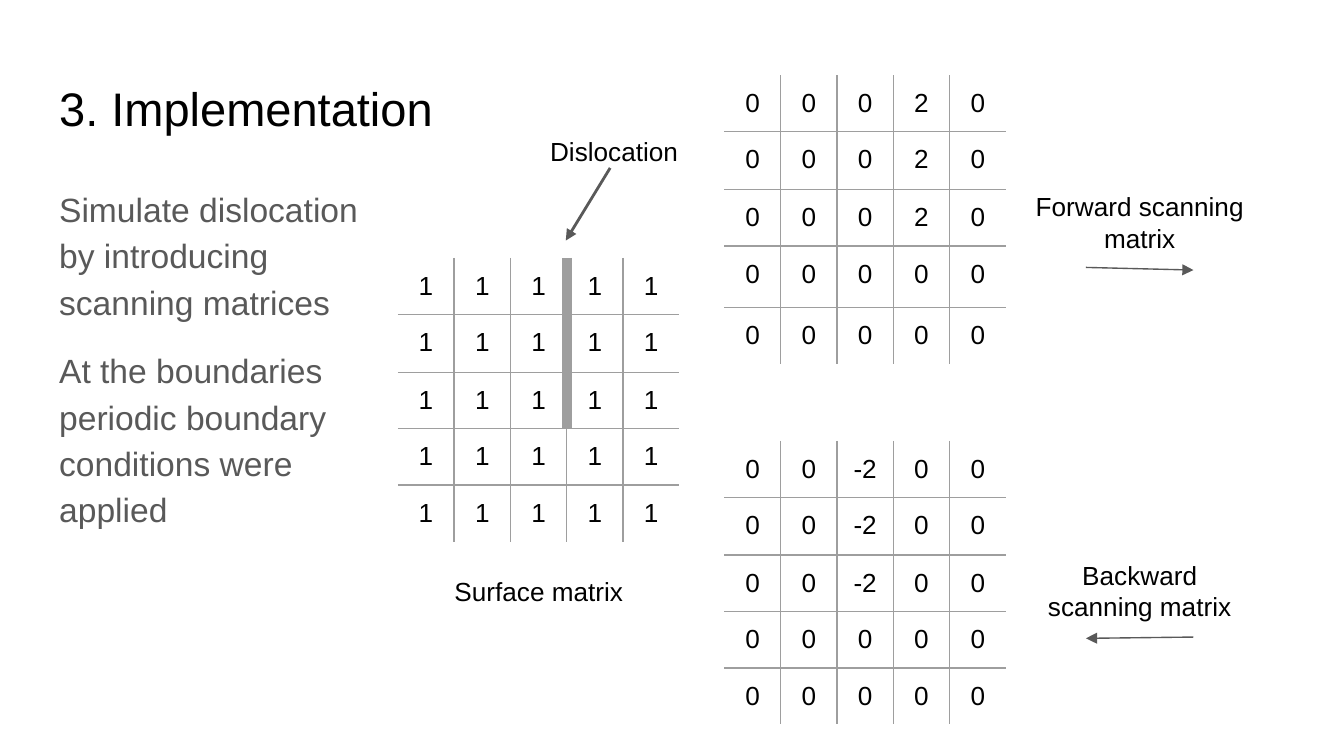
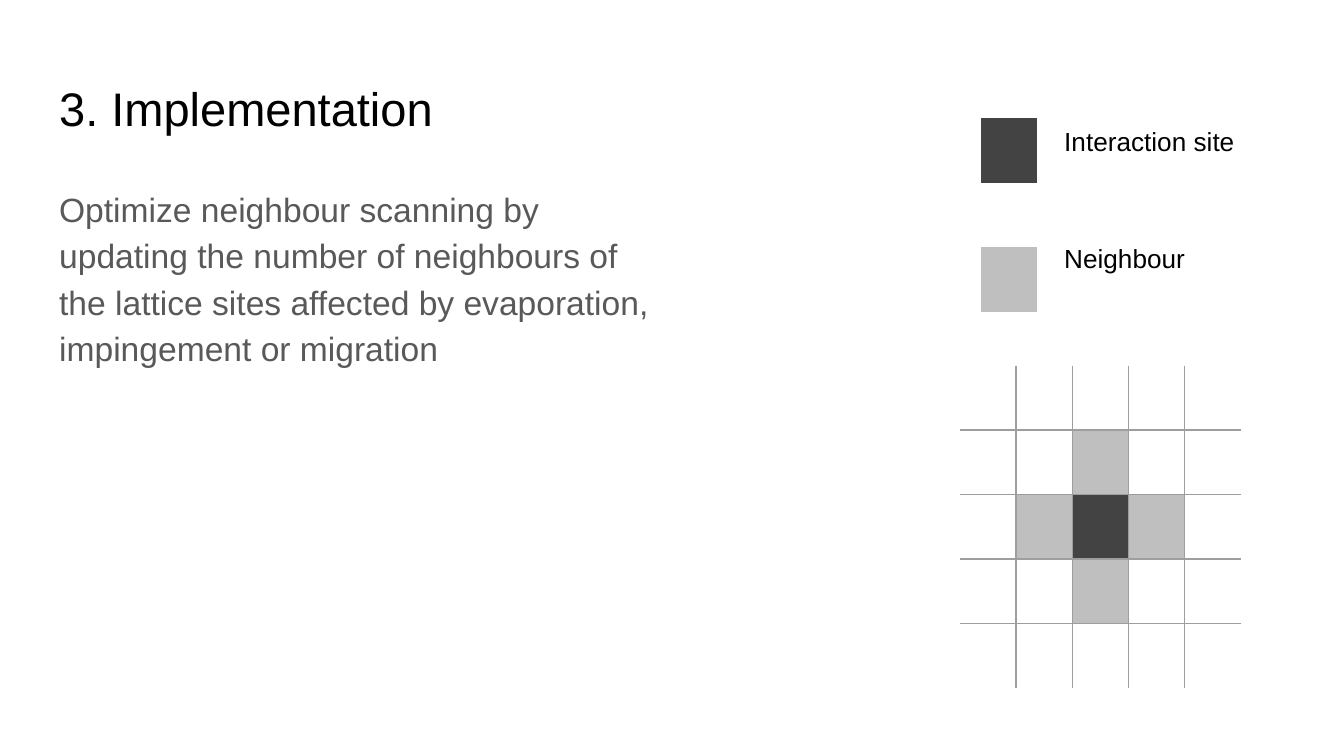
from itertools import product

from lxml.etree import SubElement
from pptx import Presentation
from pptx.dml.color import RGBColor
from pptx.enum.shapes import MSO_CONNECTOR
from pptx.enum.text import MSO_ANCHOR, MSO_AUTO_SIZE, PP_ALIGN
from pptx.oxml.ns import qn
from pptx.util import Inches, Pt

SLIDE_WIDTH, SLIDE_HEIGHT = Inches(10), Inches(5.625)
FONT = "Arial"
BLACK = RGBColor(0x00, 0x00, 0x00)
BODY_GRAY = RGBColor(0x59, 0x59, 0x59)
GRID_GRAY = RGBColor(0x9E, 0x9E, 0x9E)
SITE_GRAY = RGBColor(0x43, 0x43, 0x43)
NEIGHBOUR_GRAY = RGBColor(0xBF, 0xBF, 0xBF)
TITLE_SIZE, BODY_SIZE, LABEL_SIZE = 25.2, 18, 14
INSET = Inches(0.1)
PLAIN_TABLE_STYLE = "{2D5ABB26-0587-4C30-8999-92F81FD0307C}"
GRID_LINE, DISLOCATION_LINE = 0.75, 6
COUNT = 5

# Shares of the slide in percent
COLUMN = 4.19
MATRIX_ROWS = [7.47, 7.64, 7.47, 7.47, 7.47]
FORWARD_ROWS = [7.47, 7.64, 7.47, 8.18, 7.47]
LATTICE_ROWS = [8.53] * COUNT


def across(share):
    return round(SLIDE_WIDTH * share / 100)


def down(share):
    return round(SLIDE_HEIGHT * share / 100)


def place(shape, left, top, width, height):
    shape.left, shape.top = across(left), down(top)
    shape.width, shape.height = across(width), down(height)


def format_runs(paragraph, size, color):
    for run in paragraph.runs:
        run.font.name, run.font.size = FONT, Pt(size)
        run.font.color.rgb = color


def prepare_frame(text_frame, auto_size):
    text_frame.word_wrap = True
    text_frame.auto_size = auto_size
    text_frame.vertical_anchor = MSO_ANCHOR.TOP
    text_frame.margin_left = text_frame.margin_right = INSET
    text_frame.margin_top = text_frame.margin_bottom = INSET


def add_content_slide(presentation, body_width, body_texts):
    slide = presentation.slides.add_slide(presentation.slide_layouts[1])
    title, body = slide.shapes.title, slide.placeholders[1]
    place(title, 3.4, 8.71, 93.2, 11.2)
    prepare_frame(title.text_frame, MSO_AUTO_SIZE.NONE)
    title.text_frame.text = "3. Implementation"
    heading = title.text_frame.paragraphs[0]
    heading.alignment = PP_ALIGN.LEFT
    format_runs(heading, TITLE_SIZE, BLACK)

    place(body, 3.4, 22.4, body_width, 66.49)
    prepare_frame(body.text_frame, MSO_AUTO_SIZE.NONE)
    body.text_frame.text = "\n".join(body_texts)
    for index, paragraph in enumerate(body.text_frame.paragraphs):
        paragraph.line_spacing = 1.15
        paragraph.space_before = Pt(12 if index else 0)
        last = index == len(body_texts) - 1
        paragraph.space_after = Pt(12 if last else 0)
        properties = paragraph._p.get_or_add_pPr()
        properties.set("marL", "0")
        properties.set("indent", "0")
        SubElement(properties, qn("a:buNone"))
        format_runs(paragraph, BODY_SIZE, BODY_GRAY)
    return slide


def add_label(slide, text, left, top, width, height=7.82, alignment=PP_ALIGN.CENTER):
    label = slide.shapes.add_textbox(0, 0, 0, 0)
    place(label, left, top, width, height)
    prepare_frame(label.text_frame, MSO_AUTO_SIZE.SHAPE_TO_FIT_TEXT)
    label.text_frame.text = text
    paragraph = label.text_frame.paragraphs[0]
    paragraph.alignment = alignment
    format_runs(paragraph, LABEL_SIZE, BLACK)


def add_arrow(slide, start, end, width):
    arrow = slide.shapes.add_connector(
        MSO_CONNECTOR.STRAIGHT,
        across(start[0]), down(start[1]), across(end[0]), down(end[1]))
    arrow.line.color.rgb = BODY_GRAY
    arrow.line.width = Pt(width)
    SubElement(arrow.line._get_or_add_ln(), qn("a:tailEnd"), type="triangle")
    SubElement(arrow._element.spPr, qn("a:effectLst"))


def set_border(cell, side, width):
    """Draw one side of a cell; a width of 0 leaves it open."""
    line = SubElement(cell._tc.get_or_add_tcPr(), qn(f"a:ln{side}"),
                      w=str(Pt(width)))
    if width:
        fill = SubElement(line, qn("a:solidFill"))
        SubElement(fill, qn("a:srgbClr"), val=str(GRID_GRAY))
    else:
        SubElement(line, qn("a:noFill"))


def add_grid(slide, left, top, row_shares, column_count=COUNT, values=None,
             fills=None, thick=(), lined=True):
    """Add a table with inner lines only; thick holds (row, column, side)."""
    fills = fills or {}
    row_count = len(row_shares)
    frame = slide.shapes.add_table(
        row_count, column_count, across(left), down(top),
        across(COLUMN * column_count), down(sum(row_shares)))
    table = frame.table
    table.first_row = table.horz_banding = False
    table._tbl.tblPr.find(qn("a:tableStyleId")).text = PLAIN_TABLE_STYLE
    for column in table.columns:
        column.width = across(COLUMN)
    for row, share in zip(table.rows, row_shares):
        row.height = down(share)

    for row, column in product(range(row_count), range(column_count)):
        cell = table.cell(row, column)
        cell.margin_left = cell.margin_right = INSET
        cell.margin_top = cell.margin_bottom = INSET
        inner = {"L": column > 0, "R": column < column_count - 1,
                 "T": row > 0, "B": row < row_count - 1}
        for side, is_inner in inner.items():
            width = GRID_LINE if lined and is_inner else 0
            if (row, column, side) in thick:
                width = DISLOCATION_LINE
            set_border(cell, side, width)
        if (row, column) in fills:
            cell.fill.solid()
            cell.fill.fore_color.rgb = fills[row, column]
        else:
            cell.fill.background()
        paragraph = cell.text_frame.paragraphs[0]
        if values:
            cell.text_frame.text = str(values[row][column])
            paragraph = cell.text_frame.paragraphs[0]
            paragraph.alignment = PP_ALIGN.CENTER
            format_runs(paragraph, LABEL_SIZE, BLACK)
        else:
            ending = SubElement(paragraph._p, qn("a:endParaRPr"),
                                sz=str(LABEL_SIZE * 100))
            SubElement(ending, qn("a:latin"), typeface=FONT)


def scanning_matrix(value, column):
    """Zeros, with value in the top three rows of one column."""
    return [[value if row < 3 and index == column else 0
             for index in range(COUNT)] for row in range(COUNT)]


def build_scanning_slide(presentation):
    slide = add_content_slide(presentation, 26.2, [
        "Simulate dislocation by introducing scanning matrices",
        "At the boundaries periodic boundary conditions were applied"])
    dislocation = {(row, column, side) for row in range(3)
                   for column, side in ((2, "R"), (3, "L"))}
    add_grid(slide, 29.6, 34.13, MATRIX_ROWS,
             values=[[1] * COUNT] * COUNT, thick=dislocation)
    add_grid(slide, 53.9, 9.96, FORWARD_ROWS, values=scanning_matrix(2, 3))
    add_grid(slide, 53.9, 58.31, MATRIX_ROWS, values=scanning_matrix(-2, 2))

    add_arrow(slide, (45.4, 22.22), (42.1, 31.82), 1.5)
    add_label(slide, "Surface matrix", 32.4, 74.31, 15.4)
    add_label(slide, "Dislocation", 38, 16.18, 15.4)
    add_label(slide, "Forward scanning matrix", 75.9, 23.47, 17.8, 11.91)
    add_label(slide, "Backward scanning matrix", 75.9, 72.18, 17.8, 11.91)
    add_arrow(slide, (80.8, 35.38), (88.8, 35.73), 0.75)
    add_arrow(slide, (88.8, 84.27), (80.8, 84.44), 0.75)


def build_neighbour_slide(presentation):
    slide = add_content_slide(presentation, 46.6, [
        "Optimize neighbour scanning by updating the number of neighbours of "
        "the lattice sites affected by evaporation, impingement or migration"])
    lattice = {(2, 2): SITE_GRAY}
    for row, column in ((1, 2), (2, 1), (2, 3), (3, 2)):
        lattice[row, column] = NEIGHBOUR_GRAY
    add_grid(slide, 71.4, 48.36, LATTICE_ROWS, fills=lattice)
    add_grid(slide, 73, 7.11, LATTICE_ROWS, column_count=1, lined=False,
             fills={(1, 0): SITE_GRAY, (3, 0): NEIGHBOUR_GRAY})
    for text, top in (("Interaction site", 14.76), ("Neighbour", 30.22)):
        add_label(slide, text, 78.2, top, 15.7, alignment=PP_ALIGN.LEFT)


def main():
    presentation = Presentation()
    presentation.slide_width = SLIDE_WIDTH
    presentation.slide_height = SLIDE_HEIGHT
    build_scanning_slide(presentation)
    build_neighbour_slide(presentation)
    presentation.save("out.pptx")


if __name__ == "__main__":
    main()
